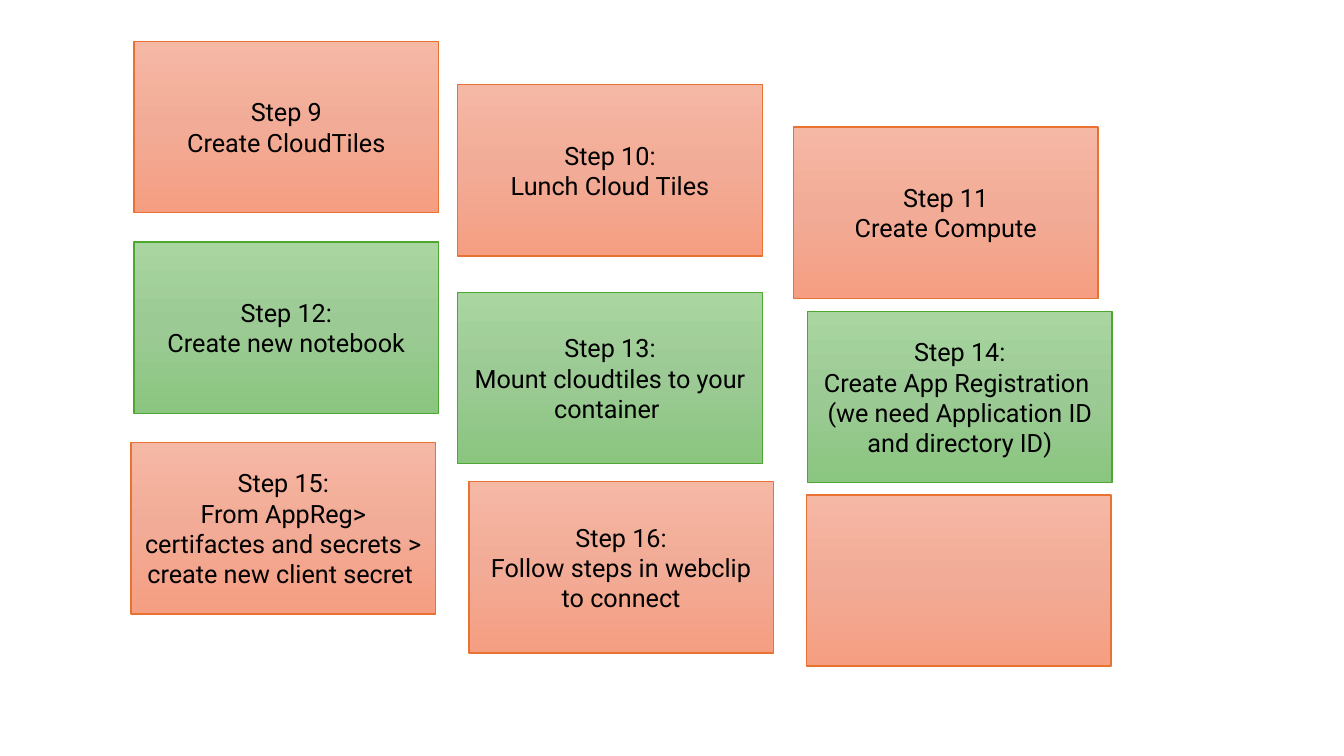
import copy

import pptx
from pptx.dml.color import RGBColor
from pptx.enum.shapes import MSO_SHAPE
from pptx.enum.text import MSO_ANCHOR, PP_ALIGN
from pptx.oxml.ns import qn
from pptx.util import Inches, Pt

BLACK = RGBColor(0x00, 0x00, 0x00)
ORANGE_LINE = RGBColor(0xE9, 0x71, 0x32)
ORANGE_STOPS = (
    RGBColor(0xF5, 0xB8, 0xA5),
    RGBColor(0xF2, 0xAB, 0x96),
    RGBColor(0xF5, 0x9E, 0x82),
)
GREEN_LINE = RGBColor(0x4E, 0xA7, 0x2E)
GREEN_STOPS = (
    RGBColor(0xA8, 0xD5, 0xA0),
    RGBColor(0x9C, 0xCA, 0x94),
    RGBColor(0x8A, 0xC6, 0x80),
)
ORANGE = (ORANGE_LINE, ORANGE_STOPS)
GREEN = (GREEN_LINE, GREEN_STOPS)

BOX_WIDTH, BOX_HEIGHT = 3.02, 1.7

# left, top, colours, paragraphs
STEPS = [
    (1.33, 0.41, ORANGE, ["Step 9", "Create CloudTiles"]),
    (4.54, 0.84, ORANGE, ["Step 10:", "Lunch Cloud Tiles"]),
    (7.87, 1.26, ORANGE, ["Step 11", "Create Compute"]),
    (1.33, 2.4, GREEN, ["Step 12:", "Create new notebook"]),
    (4.54, 2.9, GREEN, ["Step 13:", "Mount cloudtiles to your container "]),
    (8.01, 3.09, GREEN, ["Step 14:", "Create App Registration ",
                         "(we need Application ID and directory ID)"]),
    (1.3, 4.39, ORANGE, ["Step 15:", "From AppReg> certifactes and secrets > "
                         "create new client secret "]),
    (4.65, 4.78, ORANGE, ["Step 16:", "Follow steps in webclip to connect"]),
    (8, 4.91, ORANGE, []),
]


def fill_downward(s, colors):
    """Fill the shape with evenly spaced gradient stops from top to bottom."""
    s.fill.gradient()
    s.fill.gradient_angle = 270
    stop_list = s._element.spPr.find(".//" + qn("a:gsLst"))
    while len(stop_list) < len(colors):
        stop_list.append(copy.deepcopy(stop_list[0]))
    for i, (stop, color) in enumerate(zip(s.fill.gradient_stops, colors)):
        stop.position = i / (len(colors) - 1)
        stop.color.rgb = color


prs = pptx.Presentation()
prs.slide_width = Inches(13.33)
prs.slide_height = Inches(7.5)
slide = prs.slides.add_slide(prs.slide_layouts[6])

for left, top, (line_color, stops), paragraphs in STEPS:
    s = slide.shapes.add_shape(MSO_SHAPE.RECTANGLE, Inches(left), Inches(top),
                               Inches(BOX_WIDTH), Inches(BOX_HEIGHT))
    s.shadow.inherit = False
    fill_downward(s, stops)
    s.line.color.rgb = line_color
    s.line.width = Pt(1)

    tf = s.text_frame
    tf.word_wrap = True
    tf.vertical_anchor = MSO_ANCHOR.MIDDLE
    tf.text = "\n".join(paragraphs)
    for p in tf.paragraphs:
        p.alignment = PP_ALIGN.CENTER
        p.font.name = "Roboto"
        p.font.size = Pt(18)
        p.font.color.rgb = BLACK

prs.save("out.pptx")
